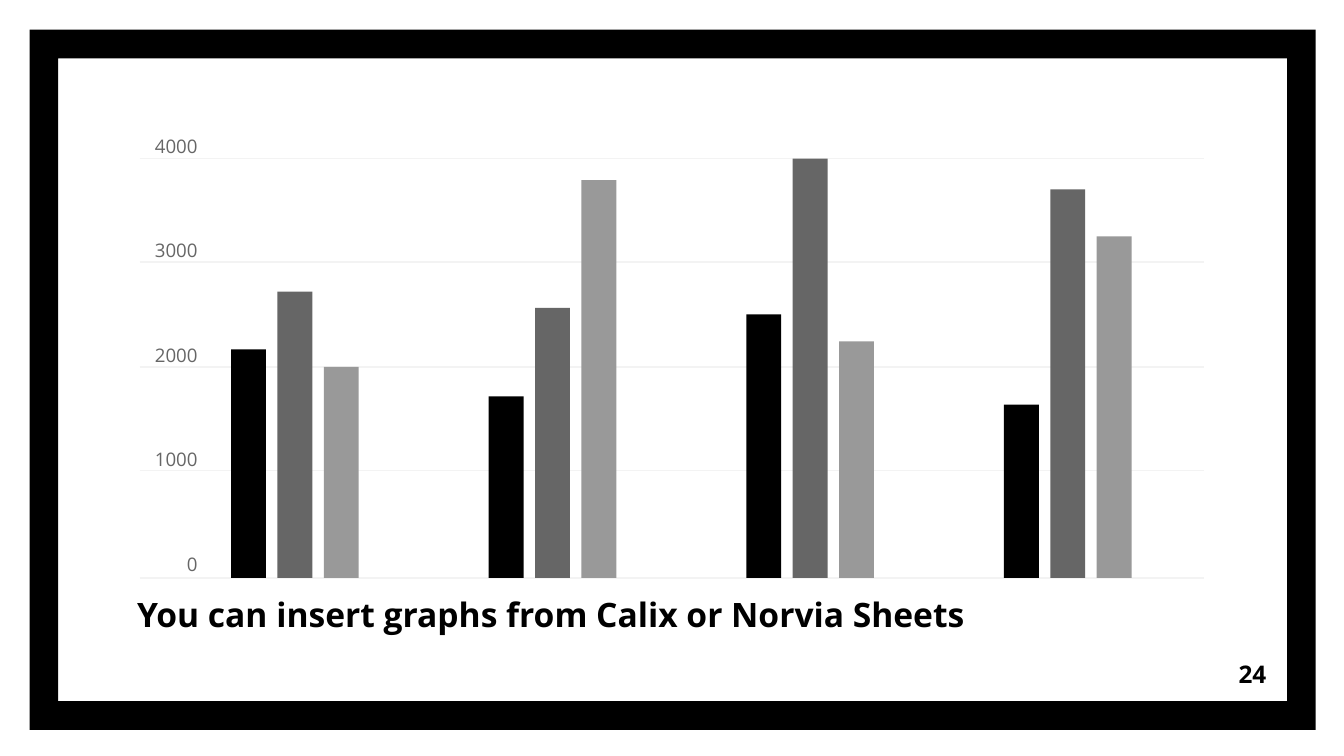
from dataclasses import dataclass

from lxml.etree import SubElement
from pptx import Presentation
from pptx.dml.color import RGBColor
from pptx.enum.shapes import MSO_CONNECTOR, MSO_SHAPE
from pptx.enum.text import MSO_ANCHOR, MSO_AUTO_SIZE, PP_ALIGN
from pptx.oxml.ns import qn
from pptx.shapes.autoshape import Shape
from pptx.slide import Slide
from pptx.text.text import TextFrame, _Paragraph
from pptx.util import Inches, Pt


@dataclass(frozen=True)
class Theme:
    font: str = "Open Sans"
    black: str = "000000"
    label: str = "666666"
    gridline: str = "F3F3F3"
    series: tuple[str, ...] = ("000000", "666666", "999999")
    caption_size: float = 18
    number_size: float = 13
    label_size: float = 10


@dataclass(frozen=True)
class Box:
    left: float
    top: float
    width: float
    height: float

    def lengths(self) -> tuple[int, int, int, int]:
        return Inches(self.left), Inches(self.top), Inches(self.width), Inches(self.height)


@dataclass(frozen=True)
class BarGroup:
    tops: tuple[float, ...]


THEME = Theme()
BASELINE = 4.3
GRID_LEFT, GRID_RIGHT = 1.04, 8.96
GRID_TOPS = (1.18, 1.95, 2.73, 3.5, BASELINE)
AXIS_LABELS = ("4000", "3000", "2000", "1000", "0")
BAR_GROUPS = (
    BarGroup((2.6, 2.17, 2.73)),
    BarGroup((2.95, 2.29, 1.34)),
    BarGroup((2.34, 1.18, 2.54)),
    BarGroup((3.01, 1.41, 1.76)),
)
BAR_WIDTH = 0.26
GROUP_WIDTH = 0.95
FIRST_GROUP_LEFT, LAST_GROUP_LEFT = 1.72, 7.47
BAR_STEP = (GROUP_WIDTH - BAR_WIDTH) / (len(THEME.series) - 1)
GROUP_STEP = (LAST_GROUP_LEFT - FIRST_GROUP_LEFT) / (len(BAR_GROUPS) - 1)


def style_paragraph(paragraph: _Paragraph, size: float, color: str, bold: bool,
                    alignment: PP_ALIGN) -> None:
    paragraph.alignment = alignment
    paragraph.font.name = THEME.font
    paragraph.font.size = Pt(size)
    paragraph.font.bold = bold
    paragraph.font.color.rgb = RGBColor.from_string(color)


def prepare_frame(frame: TextFrame, inset: float, anchor: MSO_ANCHOR) -> None:
    frame.word_wrap = True
    frame.auto_size = MSO_AUTO_SIZE.NONE
    frame.vertical_anchor = anchor
    frame.margin_left = frame.margin_right = Inches(inset)
    frame.margin_top = frame.margin_bottom = Inches(inset)


def add_filled_shape(slide: Slide, kind: MSO_SHAPE, box: Box, color: str) -> Shape:
    shape = slide.shapes.add_shape(kind, *box.lengths())
    shape.shadow.inherit = False
    shape.fill.solid()
    shape.fill.fore_color.rgb = RGBColor.from_string(color)
    shape.line.fill.background()
    return shape


def add_border(slide: Slide) -> None:
    border = add_filled_shape(slide, MSO_SHAPE.FRAME, Box(0.22, 0.22, 9.57, 5.21), THEME.black)
    border.adjustments[0] = 0.041


def add_caption(slide: Slide, text: str) -> None:
    caption = slide.placeholders[1]
    caption.left, caption.top, caption.width, caption.height = Box(0.92, 4.32, 8.16, 0.57).lengths()
    prepare_frame(caption.text_frame, 0.1, MSO_ANCHOR.TOP)
    paragraph = caption.text_frame.paragraphs[0]
    paragraph.text = text
    paragraph.space_before = Pt(3.6)
    style_paragraph(paragraph, THEME.caption_size, THEME.black, True, PP_ALIGN.LEFT)


def add_page_number(slide: Slide, number: str) -> None:
    frame = slide.shapes.add_textbox(*Box(8.92, 4.8, 0.6, 0.43).lengths()).text_frame
    prepare_frame(frame, 0.1, MSO_ANCHOR.MIDDLE)
    paragraph = frame.paragraphs[0]
    paragraph.text = number
    style_paragraph(paragraph, THEME.number_size, THEME.black, True, PP_ALIGN.RIGHT)


def add_gridline(slide: Slide, top: float) -> None:
    gridline = slide.shapes.add_connector(
        MSO_CONNECTOR.STRAIGHT, Inches(GRID_LEFT), Inches(top), Inches(GRID_RIGHT), Inches(top))
    gridline.line.color.rgb = RGBColor.from_string(THEME.gridline)
    gridline.line.width = Pt(0.75)
    SubElement(gridline._element.spPr, qn("a:effectLst"))


def add_axis_labels(slide: Slide) -> None:
    frame = slide.shapes.add_textbox(*Box(GRID_LEFT, 1, 0.43, 3.31).lengths()).text_frame
    prepare_frame(frame, 0, MSO_ANCHOR.TOP)
    for index, label in enumerate(AXIS_LABELS):
        paragraph = frame.add_paragraph() if index else frame.paragraphs[0]
        paragraph.text = label
        paragraph.space_before = Pt(44 if index else 0)
        style_paragraph(paragraph, THEME.label_size, THEME.label, False, PP_ALIGN.RIGHT)


def add_bar_group(slide: Slide, group: BarGroup, left: float) -> None:
    for index, (top, color) in enumerate(zip(group.tops, THEME.series)):
        box = Box(left + index * BAR_STEP, top, BAR_WIDTH, BASELINE - top)
        add_filled_shape(slide, MSO_SHAPE.RECTANGLE, box, color)


def main() -> None:
    presentation = Presentation()
    presentation.slide_width = Inches(10)
    presentation.slide_height = presentation.slide_width * 9 // 16
    slide = presentation.slides.add_slide(presentation.slide_layouts.get_by_name("Section Header"))
    title = slide.shapes.title._element
    title.getparent().remove(title)

    add_border(slide)
    add_caption(slide, "You can insert graphs from Calix or Norvia Sheets")
    add_page_number(slide, "24")
    for top in GRID_TOPS:
        add_gridline(slide, top)
    add_axis_labels(slide)
    for index, group in enumerate(BAR_GROUPS):
        add_bar_group(slide, group, FIRST_GROUP_LEFT + index * GROUP_STEP)

    presentation.save("out.pptx")


if __name__ == "__main__":
    main()
